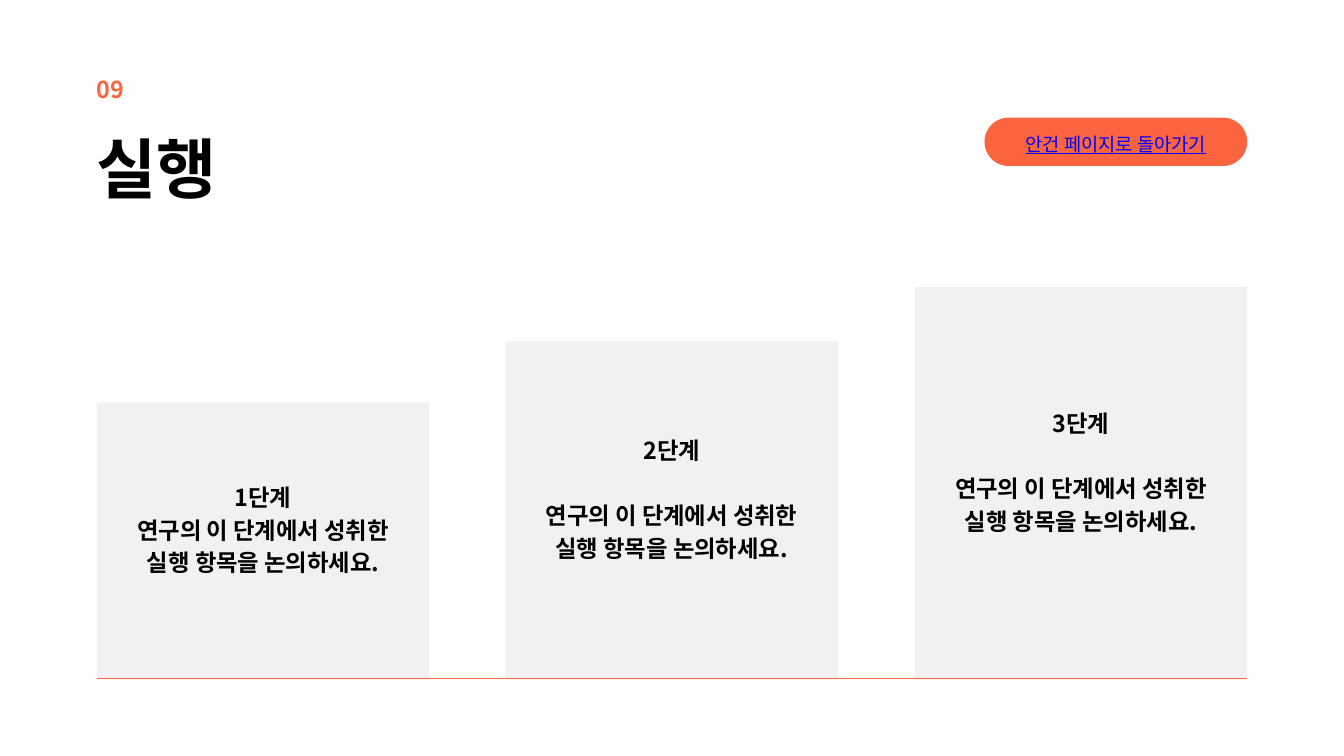
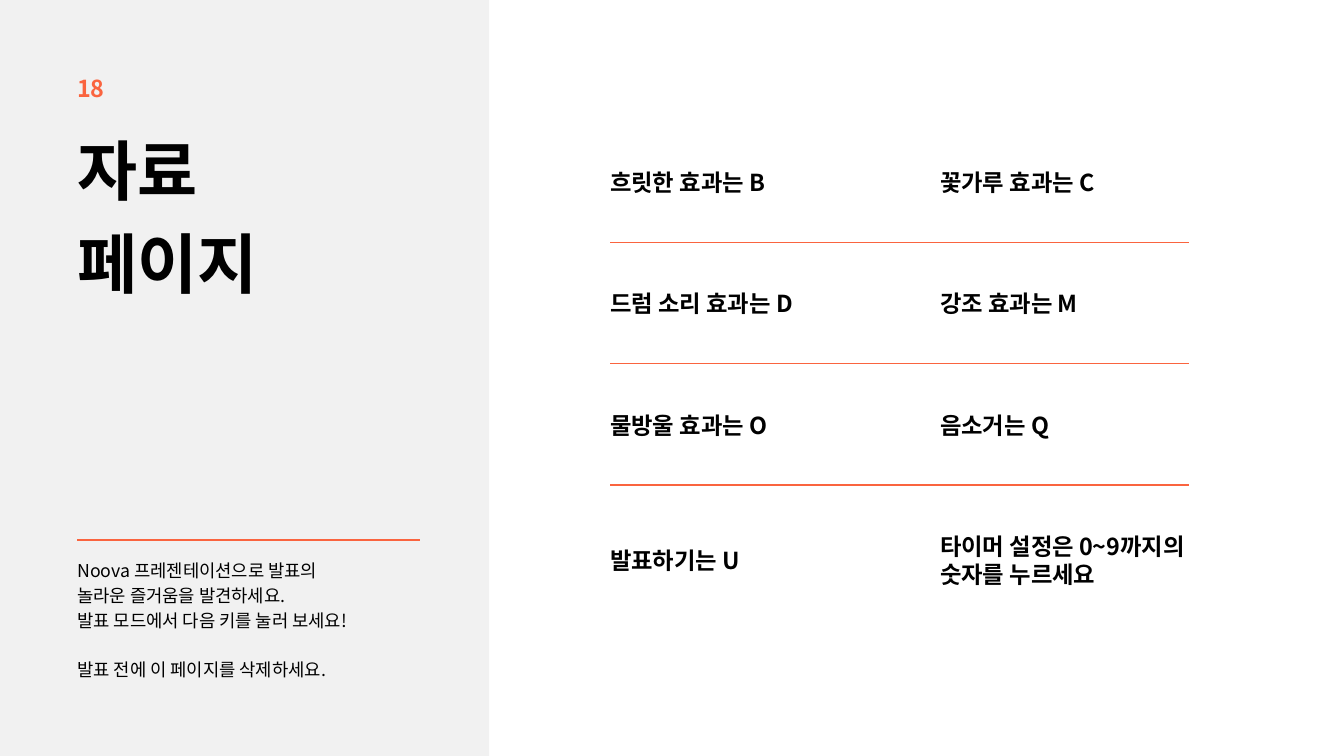
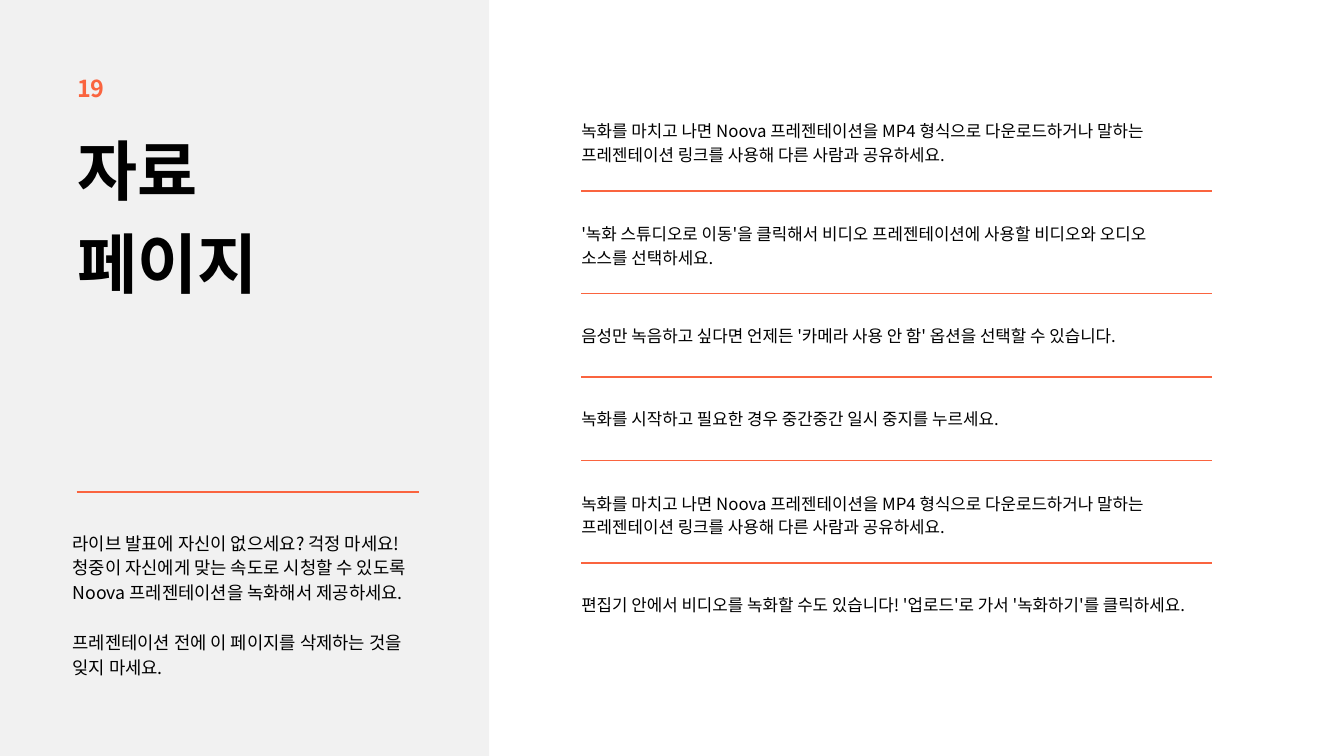
from lxml import etree
from pptx import Presentation
from pptx.dml.color import RGBColor
from pptx.enum.shapes import MSO_CONNECTOR, MSO_SHAPE
from pptx.enum.text import MSO_ANCHOR, PP_ALIGN
from pptx.oxml.ns import qn
from pptx.util import Emu, Pt

FONT = "Noto Sans CJK KR"
ORANGE, GREY, BLACK, LINK_BLUE = "FA643F", "F1F1F1", "000000", "0000FF"
WIDTH, HEIGHT = 2000, 1125
MARGIN, CONTENT_WIDTH = 144, 1712


def px(length):
    """Turn px, 100 to the inch, into EMU."""
    return Emu(length * 9144)


def color(hex_code):
    """Turn a hex string into a colour."""
    return RGBColor.from_string(hex_code)


def write(frame, lines, size, spacing, ink=BLACK, bold=False, align=PP_ALIGN.LEFT,
          anchor=MSO_ANCHOR.TOP, insets=(0, 0, 0, 0), gap_at=None, underline=None):
    """Fill a text frame, leaving one empty line's height before line gap_at."""
    frame.word_wrap = True
    frame.vertical_anchor = anchor
    frame.margin_left, frame.margin_top, frame.margin_right, frame.margin_bottom = map(px, insets)
    frame.text = "\n".join(lines)
    for index, paragraph in enumerate(frame.paragraphs):
        paragraph.alignment = align
        paragraph.line_spacing = Pt(spacing)
        if index == gap_at:
            paragraph.space_before = Pt(spacing)
        for run in paragraph.runs:
            run.font.name, run.font.size = FONT, Pt(size)
            run.font.bold, run.font.underline = bold, underline
            run.font.color.rgb = color(ink)
            etree.SubElement(run.font._element, qn("a:ea"), typeface=FONT)


def add_text(slide, box, lines, size, spacing, **style):
    """Add a text box at box (left, top, width, height)."""
    write(slide.shapes.add_textbox(*map(px, box)).text_frame, lines, size, spacing, **style)


def add_block(slide, preset, box, fill):
    """Add a plain filled shape without outline."""
    block = slide.shapes.add_shape(preset, *map(px, box))
    block.shadow.inherit = False
    block.fill.solid()
    block.fill.fore_color.rgb = color(fill)
    block.line.fill.background()
    return block


def add_rule(slide, left, top, width, weight=1.5):
    """Draw a horizontal orange rule."""
    rule = slide.shapes.add_connector(
        MSO_CONNECTOR.STRAIGHT, px(left), px(top), px(left + width), px(top))
    rule.line.color.rgb = color(ORANGE)
    rule.line.width = Pt(weight)
    etree.SubElement(rule._element.spPr, qn("a:effectLst"))


def add_heading(slide, left, top, number, title_box, title_lines, title_spacing):
    """Place the section number and the large title."""
    add_text(slide, (left, top, 87, 40), [number], 25, 27.5, ink=ORANGE, bold=True)
    add_text(slide, title_box, title_lines, 70, title_spacing, bold=True)


def add_agenda_button(slide, box):
    """Place the pill that leads back to the agenda."""
    pill = add_block(slide, MSO_SHAPE.ROUNDED_RECTANGLE, box, ORANGE)
    pill.adjustments[0] = 0.5
    write(pill.text_frame, ["안건 페이지로 돌아가기"], 20, 28, ink=LINK_BLUE,
          align=PP_ALIGN.CENTER, anchor=MSO_ANCHOR.MIDDLE, underline=True)


def add_steps(slide, left, bottom, width, heights):
    """Spread the rising step cards evenly and underline them."""
    card_width = 495
    for index, height in enumerate(heights):
        card_left = left + index * (width - card_width) // (len(heights) - 1)
        card = add_block(slide, MSO_SHAPE.RECTANGLE,
                         (card_left, bottom - height, card_width, height), GREY)
        lines = [f"{index + 1}단계", "연구의 이 단계에서 성취한", "실행 항목을 논의하세요."]
        write(card.text_frame, lines, 25, 35, bold=True, align=PP_ALIGN.CENTER,
              anchor=MSO_ANCHOR.MIDDLE, insets=(6, 6, 6, 46), gap_at=1 if index else None)
    add_rule(slide, left, bottom - 1, width)


def add_side_panel(slide, number, note_box, note, rule_left, rule_top, rule_weight):
    """Place the grey panel with heading, rule and note."""
    add_block(slide, MSO_SHAPE.RECTANGLE, (0, 0, 728, HEIGHT), GREY)
    add_heading(slide, 115, 114, number, (115, 174, 507, 268), ["자료", "페이지"], 98.7)
    add_rule(slide, rule_left, rule_top, 510, rule_weight)
    add_text(slide, note_box, note, 19, 26.6, gap_at=3)


def add_shortcuts(slide, left, top, width, rows):
    """Lay out the key shortcuts in two columns with rules between rows."""
    for index, row in enumerate(rows):
        row_top = top + index * 361 // 2
        row_height = 42 * max(len(lines) for lines in row)
        for column, lines in enumerate(row):
            add_text(slide, (left + column * 491, row_top, 384, row_height), lines, 25, 30,
                     bold=True, anchor=MSO_ANCHOR.MIDDLE)
        if index < len(rows) - 1:
            add_rule(slide, left, row_top + 111, width)


def add_recording_tips(slide, left, top, width, tips):
    """Stack the recording tips with rules between them."""
    for index, lines in enumerate(tips):
        if len(lines) == 1:
            slot, offset, text_height, spacing = 124, 47, 30, 21.6
        else:
            slot, offset, text_height, spacing = 153, 44, 69, 25.2
        add_text(slide, (left, top + offset, width, text_height), lines, 18, spacing)
        top += slot
        if index < len(tips) - 1:
            add_rule(slide, left, top, width)


def build_action_slide(slide):
    """Build the three-step action slide."""
    add_heading(slide, MARGIN, 115, "09", (MARGIN, 191, 885, 116), ["실행"], 84)
    add_steps(slide, MARGIN, 1011, CONTENT_WIDTH, (412, 503, 584))
    add_agenda_button(slide, (1465, 175, 391, 72))


def build_shortcut_slide(slide):
    """Build the resource slide with presentation shortcuts."""
    note = ["Noova 프레젠테이션으로 발표의", "놀라운 즐거움을 발견하세요.",
            "발표 모드에서 다음 키를 눌러 보세요!", "발표 전에 이 페이지를 삭제하세요."]
    add_side_panel(slide, "18", (115, 828, 510, 181), note, 115, 803, 2)
    add_shortcuts(slide, 908, 250, 862, [
        (["흐릿한 효과는 B"], ["꽃가루 효과는 C"]),
        (["드럼 소리 효과는 D"], ["강조 효과는 M"]),
        (["물방울 효과는 O"], ["음소거는 Q"]),
        (["발표하기는 U"], ["타이머 설정은 0~9까지의", "숫자를 누르세요"]),
    ])


def build_recording_slide(slide):
    """Build the resource slide with recording tips."""
    note = ["라이브 발표에 자신이 없으세요? 걱정 마세요!",
            "청중이 자신에게 맞는 속도로 시청할 수 있도록",
            "Noova 프레젠테이션을 녹화해서 제공하세요.",
            "프레젠테이션 전에 이 페이지를 삭제하는 것을", "잊지 마세요."]
    add_side_panel(slide, "19", (108, 787, 522, 219), note, 114, 732, 1.5)
    share_tip = ["녹화를 마치고 나면 Noova 프레젠테이션을 MP4 형식으로 다운로드하거나 말하는",
                 "프레젠테이션 링크를 사용해 다른 사람과 공유하세요."]
    add_recording_tips(slide, 865, 131, 939, [
        share_tip,
        ["'녹화 스튜디오로 이동'을 클릭해서 비디오 프레젠테이션에 사용할 비디오와 오디오",
         "소스를 선택하세요."],
        ["음성만 녹음하고 싶다면 언제든 '카메라 사용 안 함' 옵션을 선택할 수 있습니다."],
        ["녹화를 시작하고 필요한 경우 중간중간 일시 중지를 누르세요."],
        share_tip,
        ["편집기 안에서 비디오를 녹화할 수도 있습니다! '업로드'로 가서 '녹화하기'를 클릭하세요."],
    ])


def main():
    """Build and save the presentation."""
    deck = Presentation()
    deck.slide_width, deck.slide_height = px(WIDTH), px(HEIGHT)
    for build in (build_action_slide, build_shortcut_slide, build_recording_slide):
        build(deck.slides.add_slide(deck.slide_layouts[6]))
    deck.save("out.pptx")


if __name__ == "__main__":
    main()
